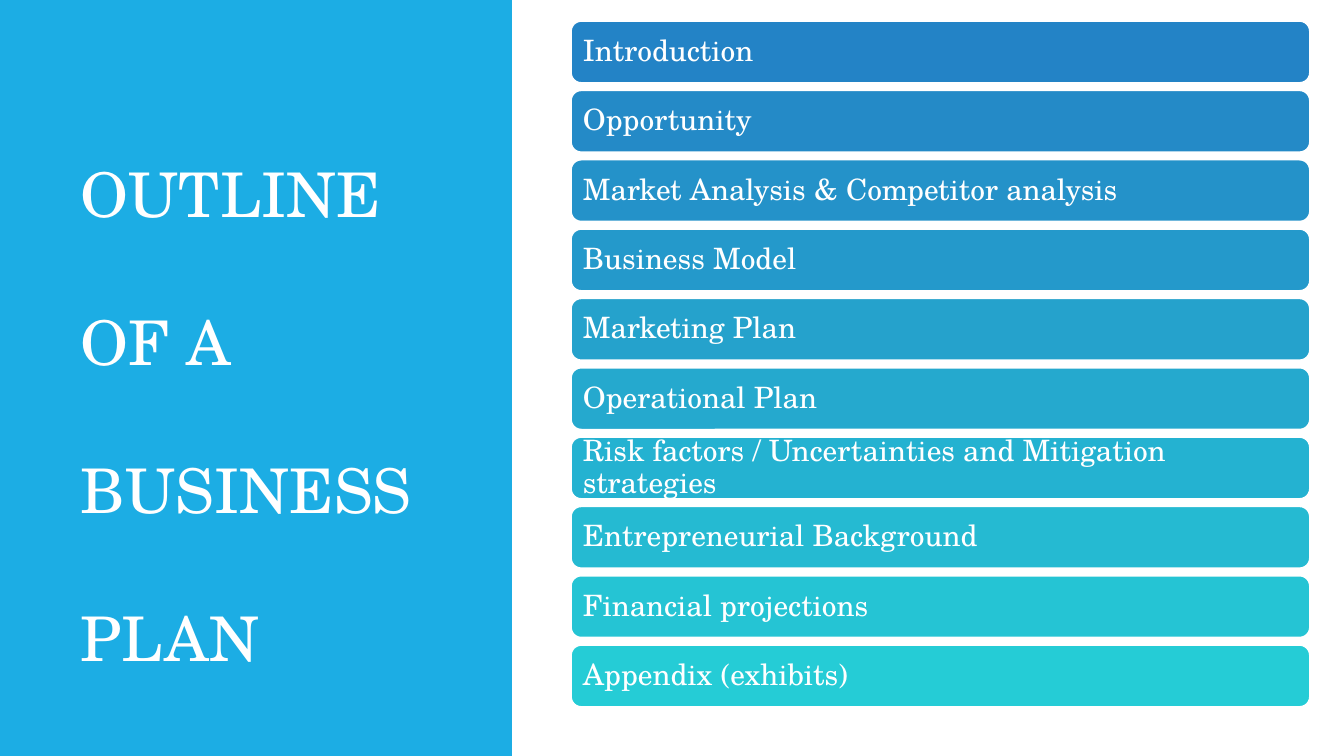
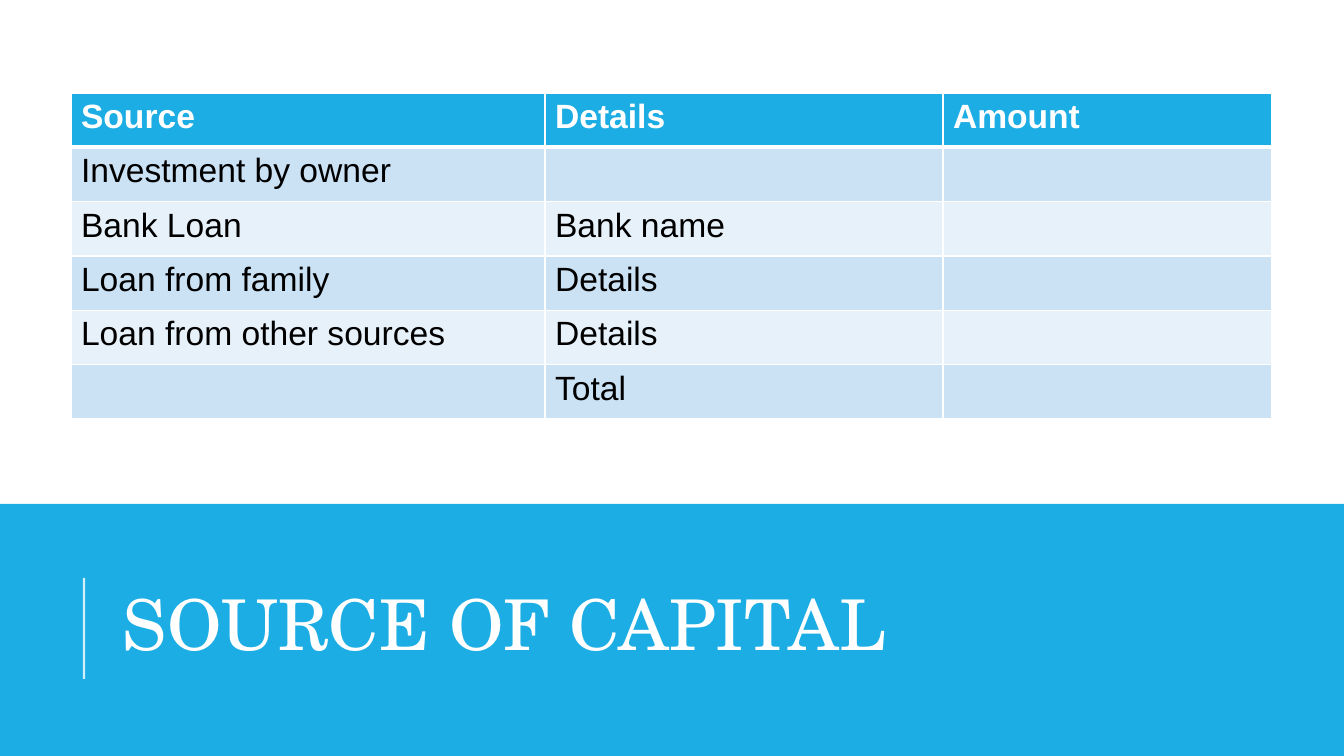
from lxml.etree import SubElement as Sub
from pptx import Presentation
from pptx.dml.color import RGBColor as RGB
from pptx.enum.shapes import MSO_CONNECTOR as LINK, MSO_SHAPE as KIND
from pptx.enum.text import MSO_ANCHOR as ANCHOR, PP_ALIGN as ALIGN
from pptx.oxml.ns import qn
from pptx.util import Pt

PX = 12192000 / 1344
SERIF, SANS = "TeX Gyre Schola", "Arial"
HUE = {"band": "1CADE4", "white": "FFFFFF", "black": "000000",
       "odd": "CBE2F5", "even": "E7F1FA"}
BARS = {
    "Introduction": "2383C6",
    "Opportunity": "248AC7",
    "Market Analysis & Competitor analysis": "2492C9",
    "Business Model": "2499CB",
    "Marketing Plan": "25A2CC",
    "Operational Plan": "25A9CE",
    "Risk factors / Uncertainties and Mitigation strategies": "24B2D1",
    "Entrepreneurial Background": "25BAD2",
    "Financial projections": "25C4D4",
    "Appendix (exhibits)": "25CCD6",
}
ROWS = [
    ("Source", "Details", "Amount"),
    ("Investment by owner", "", ""),
    ("Bank Loan", "Bank name", ""),
    ("Loan from family", "Details", ""),
    ("Loan from other sources", "Details", ""),
    ("", "Total", ""),
]


def px(*nums):
    return [round(n * PX) for n in nums]


def write(frame, text, size, gap):
    """Set white serif text, centred in height, with a line spacing."""
    frame.text = text
    frame.word_wrap = True
    frame.vertical_anchor = ANCHOR.MIDDLE
    para = frame.paragraphs[0]
    para.alignment = ALIGN.LEFT
    para.line_spacing = gap
    font = para.runs[0].font
    font.name, font.size = SERIF, Pt(size)
    font.color.rgb = RGB.from_string(HUE["white"])


deck = Presentation()
deck.slide_width, deck.slide_height = px(1344, 756)

# Blue band and title of each slide
pages = []
for text, band, box, size, gap in [
    ("OUTLINE OF A BUSINESS PLAN", (0, 0, 512, 756), (71, 71, 377, 614), 44, 2.0),
    ("SOURCE OF CAPITAL", (0, 504, 1344, 252), (113, 548, 1072, 165), 50, 0.8),
]:
    page = deck.slides.add_slide(deck.slide_layouts[6])
    panel = page.shapes.add_shape(KIND.RECTANGLE, *px(*band))
    panel.shadow.inherit = False
    panel.fill.solid()
    panel.fill.fore_color.rgb = RGB.from_string(HUE["band"])
    panel.line.fill.background()
    title = page.shapes.add_textbox(*px(*box))
    write(title.text_frame, text, size, gap)
    pages.append(page)
outline, capital = pages

# Outline bars, spread evenly from first top to last top
first, last = 21, 645
for i, (text, hue) in enumerate(BARS.items()):
    top = first + (last - first) * i / (len(BARS) - 1)
    bar = outline.shapes.add_shape(KIND.ROUNDED_RECTANGLE, *px(571, top, 739, 62))
    bar.shadow.inherit = False
    bar.fill.solid()
    bar.fill.fore_color.rgb = RGB.from_string(hue)
    bar.line.color.rgb = RGB.from_string(HUE["white"])
    bar.line.width = Pt(1.25)
    frame = bar.text_frame
    (frame.margin_left, frame.margin_top,
     frame.margin_right, frame.margin_bottom) = px(9, 9, 9, 9)
    write(frame, text, 21, 0.9)

# Rule beside the capital title
rule = capital.shapes.add_connector(LINK.STRAIGHT, *px(84, 679, 84, 578))
rule.line.color.rgb = RGB.from_string(HUE["white"])
rule.line.width = Pt(1.5)
tint = next(rule.line._ln.iter(qn("a:srgbClr")))
Sub(tint, qn("a:alpha"), val="80000")
Sub(rule._element.spPr, qn("a:effectLst"))

# Table of sources
wide, high = (474, 398, 329), 326
grid = capital.shapes.add_table(
    len(ROWS), len(wide), *px(71, 93, sum(wide), high)).table
for col, width in zip(grid.columns, wide):
    col.width = px(width)[0]
for r, row in enumerate(ROWS):
    grid.rows[r].height = px(high / len(ROWS))[0]
    head = r == 0
    fill = "band" if head else "odd" if r % 2 else "even"
    for c, text in enumerate(row):
        cell = grid.cell(r, c)
        edges = {"L": 1, "R": 1, "T": 3 if r == 1 else 1, "B": 3 if head else 1}
        for side, width in edges.items():
            edge = Sub(cell._tc.get_or_add_tcPr(), qn(f"a:ln{side}"), w=str(Pt(width)))
            Sub(Sub(edge, qn("a:solidFill")), qn("a:srgbClr"), val=HUE["white"])
        cell.fill.solid()
        cell.fill.fore_color.rgb = RGB.from_string(HUE[fill])
        cell.text_frame.text = text
        for run in cell.text_frame.paragraphs[0].runs:
            run.font.name, run.font.size, run.font.bold = SANS, Pt(24), head
            run.font.color.rgb = RGB.from_string(HUE["white" if head else "black"])

deck.save("out.pptx")
